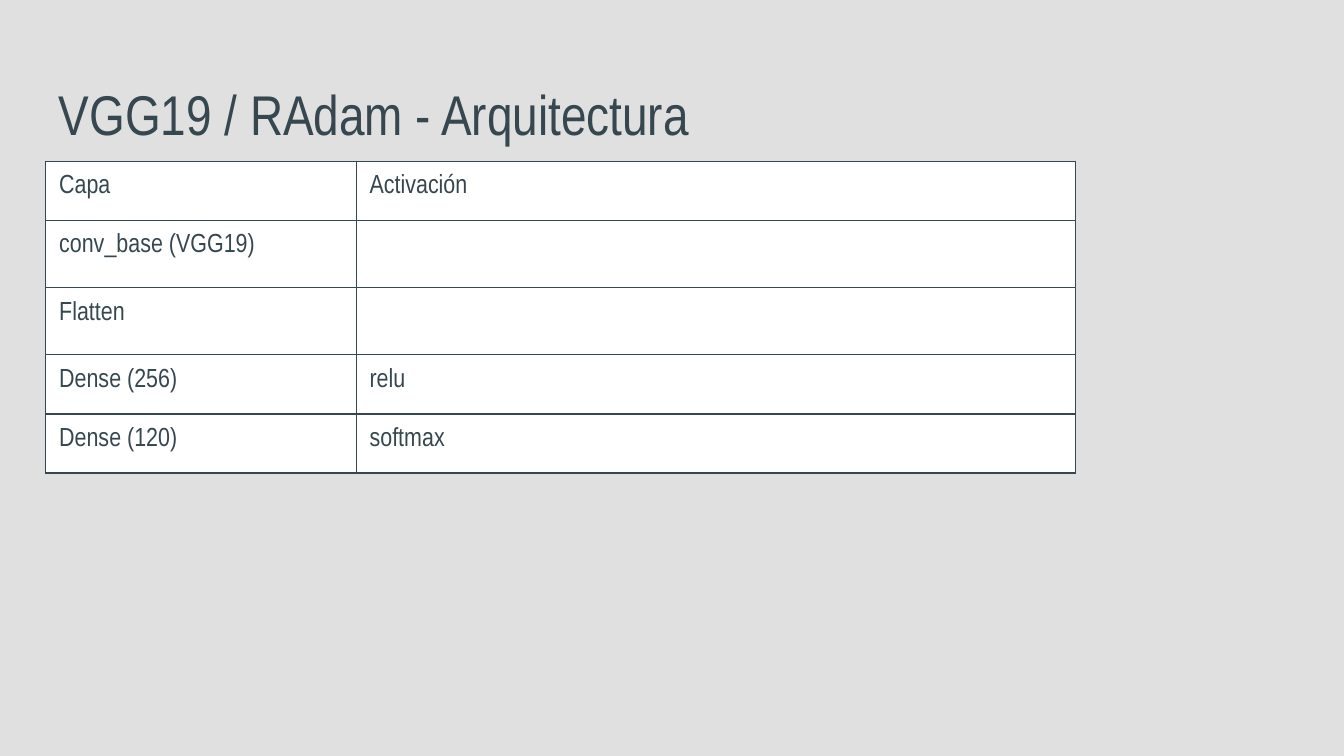
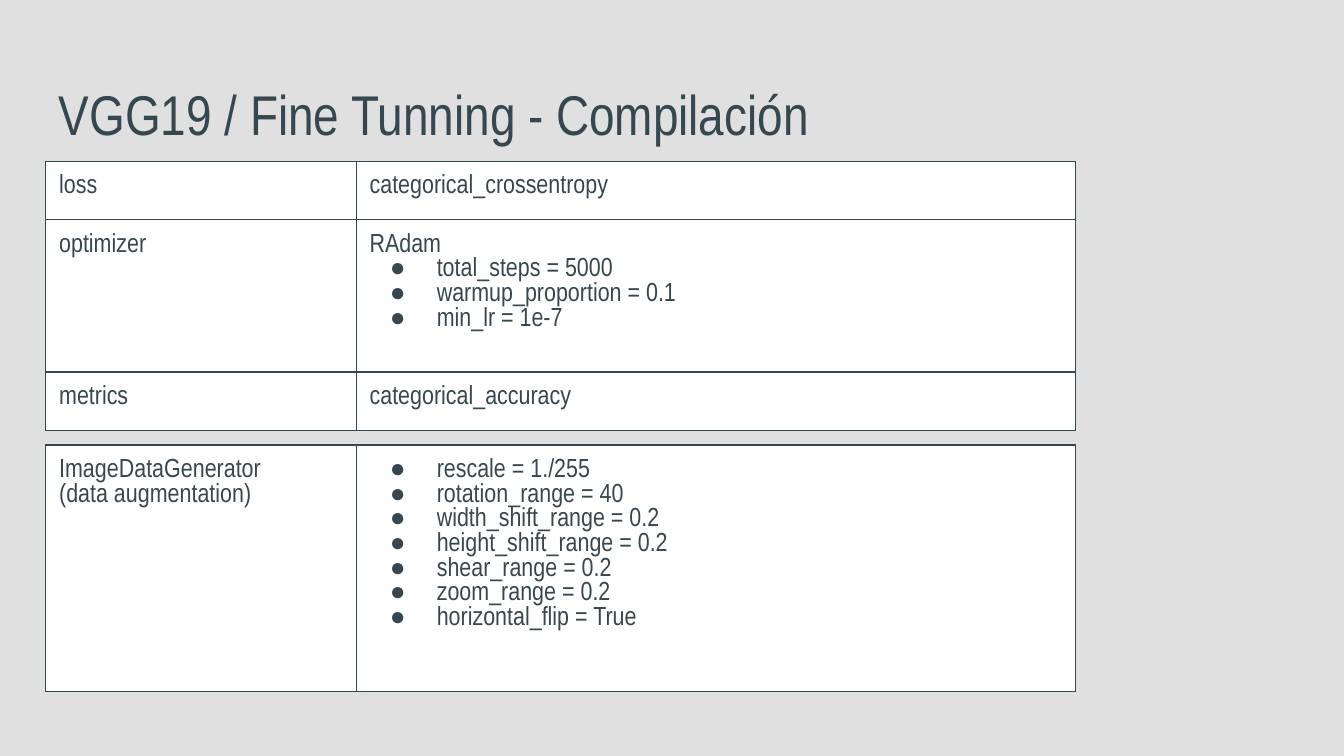
from dataclasses import dataclass
from typing import Any

import lxml.etree
import pptx
import pptx.dml.color
import pptx.enum.text
import pptx.oxml.ns
import pptx.util

Pt = pptx.util.Pt
qn = pptx.oxml.ns.qn

COLORS = {"background": "E0E0E0", "ink": "37474F", "cell": "FFFFFF"}
FONT = "Arial Narrow"
LEFT = 24.48
COLUMNS = (166.32, 385.2)
TABLE_TOP = 86.4
LAYER_ROW = 31.68
SETTING_ROW = 28.8
BORDERS = ("a:lnL", "a:lnR", "a:lnT", "a:lnB")

CELL_FORMAT = {
    "margin_left": Pt(7.2),
    "margin_right": Pt(7.2),
    "margin_top": Pt(7.2),
    "margin_bottom": Pt(7.2),
    "vertical_anchor": pptx.enum.text.MSO_ANCHOR.TOP,
}
# The smaller bottom margin brings the title down close to the table.
TITLE_FORMAT = {
    "margin_left": Pt(7.2),
    "margin_right": Pt(7.2),
    "margin_top": Pt(7.2),
    "margin_bottom": Pt(2),
    "vertical_anchor": pptx.enum.text.MSO_ANCHOR.BOTTOM,
    "word_wrap": True,
}
TITLE_FONT = {"name": FONT, "size": Pt(30)}
CELL_FONT = {"name": FONT, "size": Pt(14)}


@dataclass(frozen=True)
class Entry:
    """Plain lines of a cell, followed by its bulleted ones."""
    lines: tuple[str, ...] = ()
    bullets: tuple[str, ...] = ()


@dataclass(frozen=True)
class Row:
    label: Entry
    value: Entry
    height: float


@dataclass(frozen=True)
class Grid:
    top: float
    rows: tuple[Row, ...]


@dataclass(frozen=True)
class Page:
    title: str
    title_width: float
    grids: tuple[Grid, ...]


def layer(name: str, *activation: str) -> Row:
    return Row(Entry((name,)), Entry(activation), LAYER_ROW)


def setting(name: str, value: str) -> Row:
    return Row(Entry((name,)), Entry((value,)), SETTING_ROW)


PAGES = (
    Page("VGG19 / RAdam - Arquitectura", 671.04, (
        Grid(TABLE_TOP, (
            layer("Capa", "Activación"),
            layer("conv_base (VGG19)"),
            layer("Flatten"),
            layer("Dense (256)", "relu"),
            layer("Dense (120)", "softmax"),
        )),
    )),
    Page("VGG19 / Fine Tunning - Compilación", 685.44, (
        Grid(TABLE_TOP, (
            setting("loss", "categorical_crossentropy"),
            Row(Entry(("optimizer",)),
                Entry(("RAdam",), ("total_steps = 5000", "warmup_proportion = 0.1",
                                   "min_lr = 1e-7")),
                80.64),
            setting("metrics", "categorical_accuracy"),
        )),
        Grid(238.4, (
            Row(Entry(("ImageDataGenerator", "(data augmentation)")),
                Entry(bullets=("rescale = 1./255", "rotation_range = 40",
                               "width_shift_range = 0.2", "height_shift_range = 0.2",
                               "shear_range = 0.2", "zoom_range = 0.2",
                               "horizontal_flip = True")),
                LAYER_ROW),
        )),
    )),
)


def rgb(name: str) -> pptx.dml.color.RGBColor:
    return pptx.dml.color.RGBColor.from_string(COLORS[name])


def apply(target: Any, values: dict[str, Any]) -> None:
    for name, value in values.items():
        setattr(target, name, value)


def add_child(parent: Any, tag: str, **attributes: str) -> Any:
    return lxml.etree.SubElement(parent, qn(tag), attributes)


def write(paragraph: Any, text: str, font: dict[str, Any]) -> None:
    run = paragraph.add_run()
    run.text = text
    apply(run.font, font)
    run.font.color.rgb = rgb("ink")


def add_bullet(paragraph: Any) -> None:
    properties = paragraph._p.get_or_add_pPr()
    properties.set("marL", str(Pt(36)))
    properties.set("indent", str(Pt(-25.2)))
    add_child(add_child(properties, "a:buClr"), "a:srgbClr", val=COLORS["ink"])
    add_child(properties, "a:buFont", typeface=FONT)
    add_child(properties, "a:buChar", char="●")


def add_borders(cell: Any) -> None:
    properties = cell._tc.get_or_add_tcPr()
    for position, tag in enumerate(BORDERS):
        border = lxml.etree.Element(qn(tag), {"w": str(Pt(0.75))})
        add_child(add_child(border, "a:solidFill"), "a:srgbClr", val=COLORS["ink"])
        properties.insert(position, border)


def fill_cell(cell: Any, entry: Entry) -> None:
    apply(cell, CELL_FORMAT)
    cell.fill.solid()
    cell.fill.fore_color.rgb = rgb("cell")
    add_borders(cell)
    frame = cell.text_frame
    for index, text in enumerate(entry.lines + entry.bullets):
        paragraph = frame.add_paragraph() if index else frame.paragraphs[0]
        if index >= len(entry.lines):
            add_bullet(paragraph)
        write(paragraph, text, CELL_FONT)


def add_grid(slide: Any, grid: Grid) -> None:
    height = sum(row.height for row in grid.rows)
    table = slide.shapes.add_table(
        len(grid.rows), len(COLUMNS), Pt(LEFT), Pt(grid.top),
        Pt(sum(COLUMNS)), Pt(height)).table
    apply(table, {"first_row": False, "horz_banding": False})
    for column, width in zip(table.columns, COLUMNS):
        column.width = Pt(width)
    for table_row, row in zip(table.rows, grid.rows):
        table_row.height = Pt(row.height)
        for cell, entry in zip(table_row.cells, (row.label, row.value)):
            fill_cell(cell, entry)


def add_page(deck: Any, page: Page) -> None:
    slide = deck.slides.add_slide(deck.slide_layouts[6])
    slide.background.fill.solid()
    slide.background.fill.fore_color.rgb = rgb("background")
    title = slide.shapes.add_textbox(
        Pt(LEFT), Pt(35.28), Pt(page.title_width), Pt(45.36)).text_frame
    apply(title, TITLE_FORMAT)
    write(title.paragraphs[0], page.title, TITLE_FONT)
    for grid in page.grids:
        add_grid(slide, grid)


def main() -> None:
    deck = pptx.Presentation()
    deck.slide_width, deck.slide_height = Pt(720), Pt(405)
    for page in PAGES:
        add_page(deck, page)
    deck.save("out.pptx")


if __name__ == "__main__":
    main()
